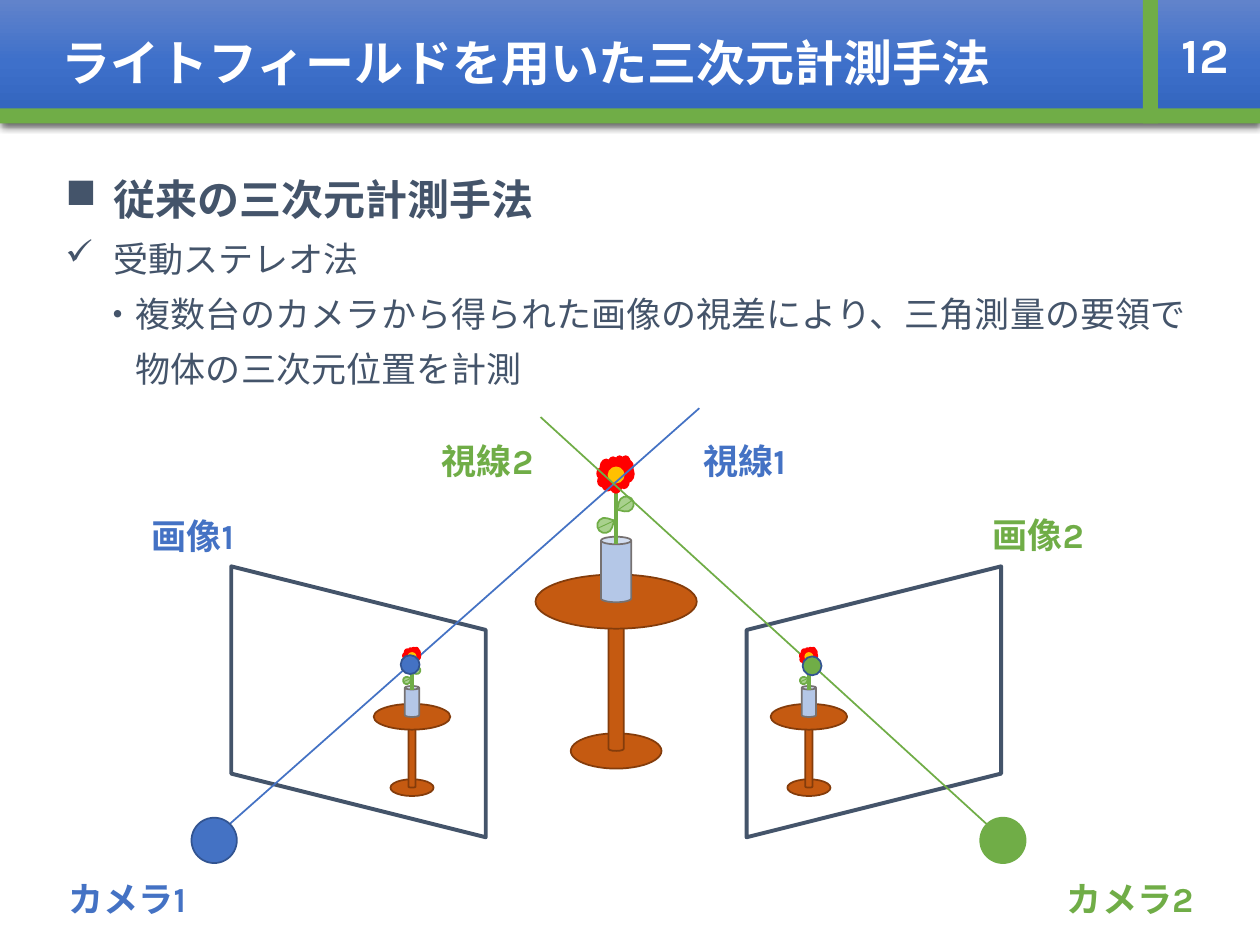
"""Build a slide on passive stereo measurement with two cameras."""
from copy import deepcopy

from lxml import etree
from pptx import Presentation
from pptx.dml.color import RGBColor
from pptx.enum.shapes import MSO_CONNECTOR, MSO_SHAPE
from pptx.enum.text import MSO_ANCHOR, MSO_AUTO_SIZE, PP_ALIGN
from pptx.oxml.ns import qn
from pptx.util import Inches, Pt

RECT, OVAL, CAN = MSO_SHAPE.RECTANGLE, MSO_SHAPE.OVAL, MSO_SHAPE.CAN
CLOUD, LEAF, FRAME = MSO_SHAPE.CLOUD, MSO_SHAPE.TEAR, MSO_SHAPE.PARALLELOGRAM
STRAIGHT = MSO_CONNECTOR.STRAIGHT
LEFT, CENTER = PP_ALIGN.LEFT, PP_ALIGN.CENTER
TOP, MIDDLE = MSO_ANCHOR.TOP, MSO_ANCHOR.MIDDLE
NO_FIT = MSO_AUTO_SIZE.NONE

COLORS = {
    "white": "FFFFFF", "black": "000000", "ink": "44546A",
    "blue": "4472C4", "navy": "325491", "green": "70AD47",
    "wood": "C55A11", "bark": "843C0B", "glass": "B4C7E7", "gray": "767171",
    "red": "FF0000", "gold": "FFC000", "leaf": "A9D18E",
    "light": "6183CB", "mid": "3E70CA", "deep": "3062BB",
}


class Deck:
    """Hold the style and the current slide."""

    font = "Karla"

    def __init__(self):
        self.prs = Presentation()
        self.prs.slide_width, self.prs.slide_height = Inches(10), Inches(7.5)
        self.slide = self.prs.slides.add_slide(self.prs.slide_layouts[5])
        self.shapes = self.slide.shapes

    def rgb(self, name):
        return RGBColor.from_string(COLORS[name])

    def shape(self, kind, box, fill=None, line=None, width=1, turn=0, flip=False, into=None):
        item = (into or self.shapes).add_shape(kind, *map(Inches, box))
        item.shadow.inherit = False
        item.rotation = turn
        if fill:
            item.fill.solid()
            item.fill.fore_color.rgb = self.rgb(fill)
        else:
            item.fill.background()
        if line:
            item.line.color.rgb = self.rgb(line)
            item.line.width = Pt(width)
        else:
            item.line.fill.background()
        if flip:
            item.element.spPr.find(qn("a:xfrm")).set("flipH", "1")
        return item

    def line(self, start, end, color, width=1, into=None):
        item = (into or self.shapes).add_connector(STRAIGHT, *map(Inches, start + end))
        item.line.color.rgb = self.rgb(color)
        item.line.width = Pt(width)
        etree.SubElement(item.element.spPr, qn("a:effectLst"))

    def run(self, para, text, size, color, bold):
        run = para.add_run()
        run.text = text
        run.font.size, run.font.bold = Pt(size), bold
        run.font.name = self.font
        run.font.color.rgb = self.rgb(color)
        latin = run.font._element.find(qn("a:latin"))
        latin.addnext(etree.Element(qn("a:ea"), typeface=self.font))

    def frame(self, box, anchor=TOP):
        frame = self.shapes.add_textbox(*map(Inches, box)).text_frame
        frame.word_wrap = True
        frame.vertical_anchor = anchor
        return frame

    def label(self, text, box, size, color, space=None, before=0, anchor=TOP):
        para = self.frame(box, anchor).paragraphs[0]
        para.alignment = CENTER
        para.line_spacing, para.space_before = space, Pt(before)
        self.run(para, text, size, color, True)

    def title(self, text, box):
        item = self.shapes.title
        item.left, item.top, item.width, item.height = map(Inches, box)
        item.fill.gradient()
        item.fill.gradient_angle = 270
        first, last = item.fill.gradient_stops
        first.color.rgb, first.position = self.rgb("light"), 0
        last.color.rgb, last.position = self.rgb("deep"), 1
        stops = item.element.spPr.find(".//" + qn("a:gsLst"))
        stops.insert(1, deepcopy(stops[0]))
        mid = item.fill.gradient_stops[1]
        mid.color.rgb, mid.position = self.rgb("mid"), 0.5
        self.shade(item)
        frame = item.text_frame
        frame.word_wrap, frame.auto_size = True, NO_FIT
        frame.vertical_anchor = MIDDLE
        frame.margin_left = Inches(0.49)
        para = frame.paragraphs[0]
        para.alignment = LEFT
        self.run(para, text, 28, "white", True)

    def shade(self, item):
        item.shadow.inherit = False
        effects = item.element.spPr.find(qn("a:effectLst"))
        outer = etree.SubElement(effects, qn("a:outerShdw"), blurRad=str(Pt(4.5)),
                                 dist=str(Pt(1.5)), dir="5400000", algn="t", rotWithShape="0")
        color = etree.SubElement(outer, qn("a:srgbClr"), val=COLORS["black"])
        etree.SubElement(color, qn("a:alpha"), val="63000")

    def body(self, box, rows):
        frame = self.frame(box)
        for i, (text, size, bold, space, mark, inset) in enumerate(rows):
            para = frame.add_paragraph() if i else frame.paragraphs[0]
            para.line_spacing, para.space_before = space, Pt(7.5)
            props = para._p.get_or_add_pPr()
            props.set("marL", str(Inches(inset)))
            if mark:
                props.set("indent", str(-Inches(inset)))
                etree.SubElement(props, qn("a:buChar"), char=mark)
            self.run(para, text, size, "ink", bold)

    def scene(self, mid, top, scale):
        """Draw a flower in a vase on a table, centred on mid."""
        group = self.shapes.add_group_shape().shapes

        def spot(x, y):
            return mid + x * scale, top + y * scale

        def part(kind, x, y, w, h, fill, line, turn=0):
            box = spot(x, y) + (w * scale, h * scale)
            self.shape(kind, box, fill, line, turn=turn, into=group)

        def stroke(start, end, width):
            self.line(spot(*start), spot(*end), "green", width, group)

        part(OVAL, -0.36, 2.2, 0.72, 0.28, "wood", "bark")
        part(CAN, -0.06, 1.16, 0.12, 1.18, "wood", "bark")
        part(OVAL, -0.64, 0.94, 1.28, 0.43, "wood", "bark")
        part(CAN, -0.12, 0.64, 0.24, 0.52, "glass", "gray")
        stroke((0, 0.17), (0, 0.7), 2.25)
        part(CLOUD, -0.15, 0, 0.29, 0.29, "red", "red")
        part(LEAF, -0.15, 0.49, 0.12, 0.12, "leaf", "green", 17.4)
        part(LEAF, 0.02, 0.32, 0.12, 0.12, "leaf", "green", 192)
        stroke((-0.01, 0.51), (-0.14, 0.57), 0.5)
        stroke((0.13, 0.35), (0.01, 0.43), 0.5)
        part(OVAL, -0.06, 0.09, 0.12, 0.12, "gold", "gold")


def main():
    deck = Deck()
    deck.title("ライトフィールドを用いた三次元計測手法", (0, 0, 10, 0.98))
    deck.shape(RECT, (0, 0.86, 10, 0.12), "green")
    deck.label("12", (9.13, 0, 0.87, 0.86), 28, "white", anchor=MIDDLE)
    deck.shape(RECT, (9.07, 0, 0.12, 0.98), "green")
    deck.shape(FRAME, (1.77, 4.56, 2.15, 2.02), line="ink", width=2.25, turn=90)
    deck.shape(FRAME, (5.86, 4.56, 2.15, 2.02), line="ink", width=2.25, turn=270, flip=True)
    deck.body((0.42, 1.37, 9.15, 1.94), [
        ("従来の三次元計測手法", 24, True, 0.9, "■", 0.38),
        ("受動ステレオ法", 20, False, 1.0, "✓", 0.38),
        ("・複数台のカメラから得られた画像の視差により、三角測量の要領で", 20, False, 1.0, None, 0.28),
        ("物体の三次元位置を計測", 20, False, 1.0, None, 0.56),
    ])

    deck.scene(4.89, 3.62, 1)
    deck.line((5.55, 3.24), (1.71, 6.64), "blue")
    deck.line((4.29, 3.31), (7.94, 6.64), "green")
    deck.shape(OVAL, (1.52, 6.49, 0.36, 0.36), "blue", "navy")
    deck.shape(OVAL, (7.78, 6.49, 0.36, 0.36), "green", "green")

    for text, left, top, color in (
        ("カメラ2", 7.94, 6.95, "green"), ("カメラ1", -0.02, 6.95, "blue"),
        ("画像1", 0.5, 4.07, "blue"), ("画像2", 7.21, 4.06, "green"),
        ("視線1", 4.88, 3.48, "blue"), ("視線2", 2.84, 3.48, "green"),
    ):
        deck.label(text, (left, top, 2.06, 0.55), 20, color, 0.9, 7.5)

    for mid, left, top, color in ((3.27, 3.18, 5.2, "blue"), (6.42, 6.37, 5.21, "green")):
        deck.scene(mid, 5.14, 0.475)
        deck.shape(OVAL, (left, top, 0.15, 0.15), color, "navy")
    deck.prs.save("out.pptx")


if __name__ == "__main__":
    main()
